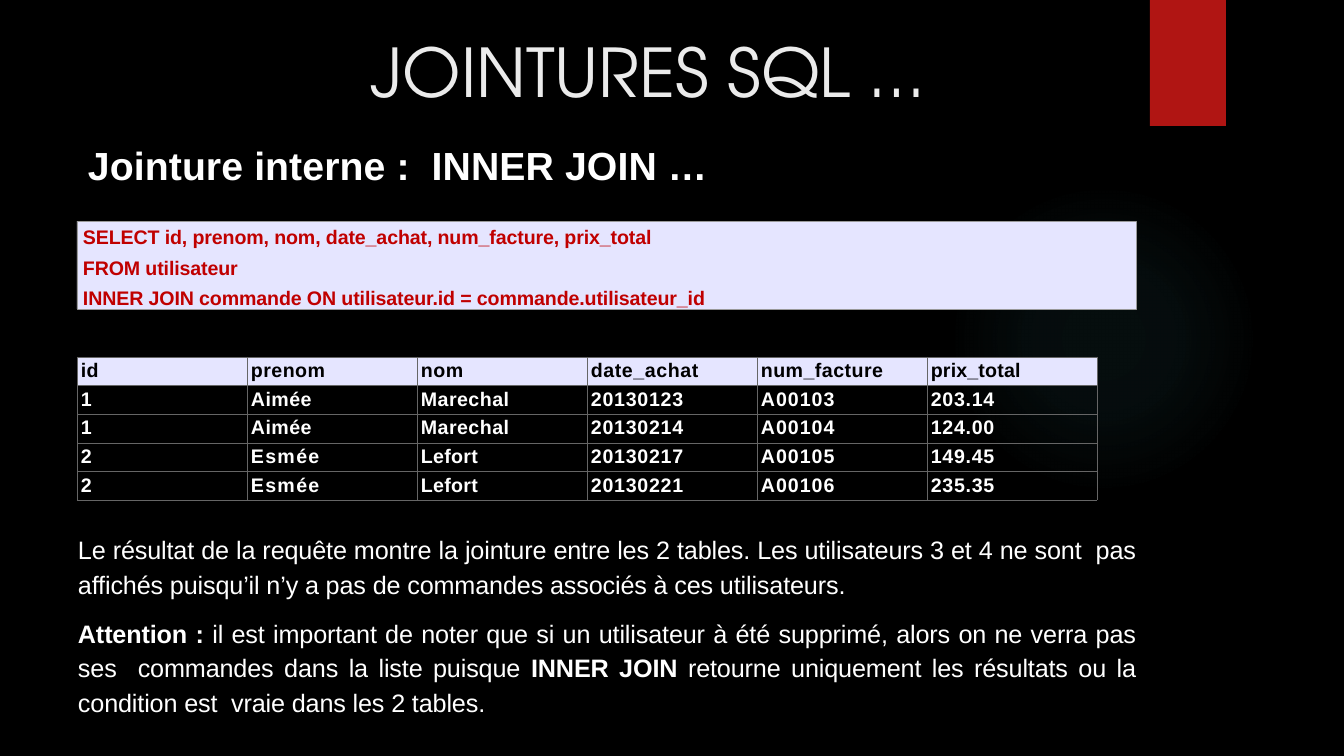
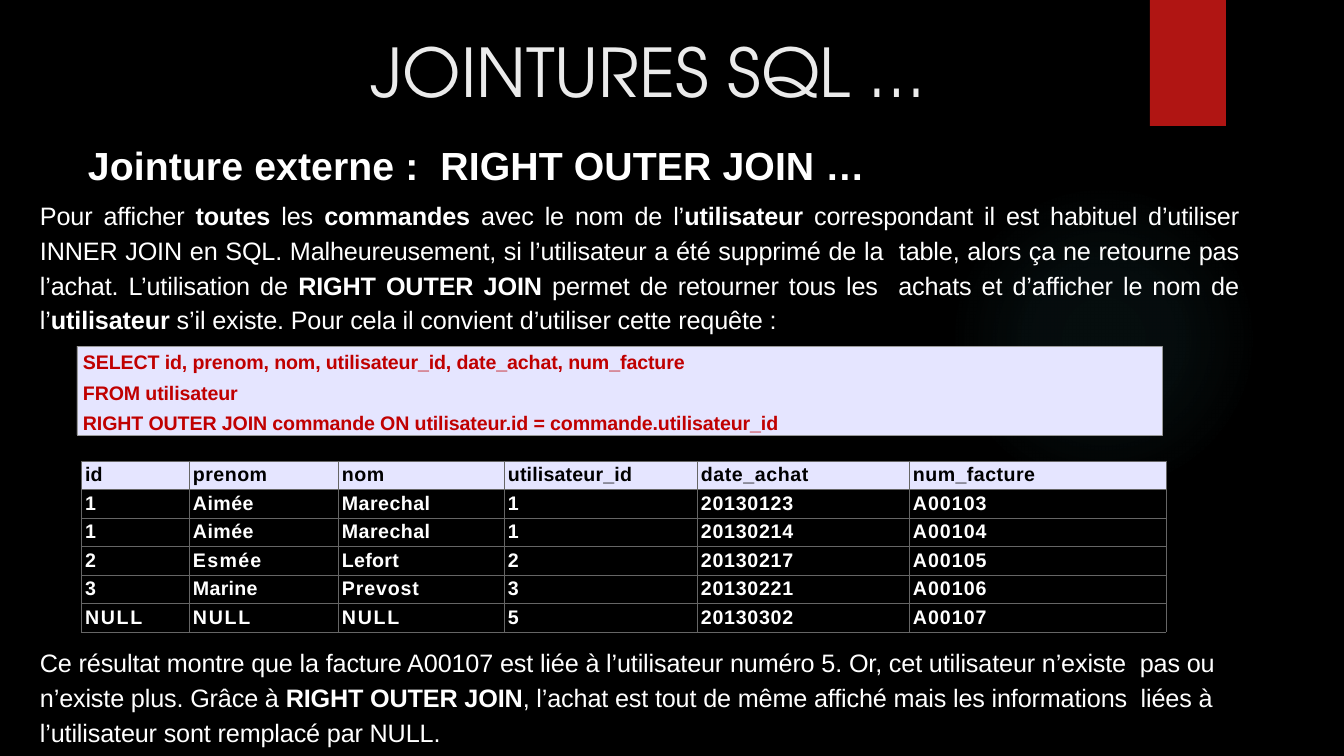
"""Build two slides that explain SQL inner and right outer joins."""
from pptx import Presentation
from pptx.dml.color import RGBColor
from pptx.enum.shapes import MSO_SHAPE
from pptx.enum.text import MSO_ANCHOR, MSO_AUTO_SIZE, PP_ALIGN
from pptx.oxml import parse_xml
from pptx.oxml.ns import nsdecls, qn
from pptx.util import Pt

PX = 12192000 / 1344
BLACK = RGBColor(0x00, 0x00, 0x00)
WHITE = RGBColor(0xFF, 0xFF, 0xFF)
TITLE_GREY = RGBColor(0xEB, 0xEB, 0xEB)
BAND_RED = RGBColor(0xB0, 0x15, 0x13)
CODE_RED = RGBColor(0xC0, 0x00, 0x00)
LAVENDER = RGBColor(0xE5, 0xE5, 0xFF)
CODE_BORDER = RGBColor(0x99, 0x99, 0x99)
TABLE_BORDER = RGBColor(0x66, 0x66, 0x66)
GLOW = RGBColor(0x50, 0xB9, 0xC1)
GLOW_STOPS = [(0, 7), (36, 6), (69, 0)]
TITLE_FONT = "TeX Gyre Adventor"
BODY_FONT = "Arial"
TITLE = "JOINTURES SQL …"

LETTER_SPACING = {
    "id": 0.1, "prenom": 0.3, "nom": 0.3, "date_achat": 0.4, "num_facture": 0.3,
    "prix_total": 0.1, "utilisateur_id": 0.1, "Aimée": 0.3, "Marechal": 0.3,
    "Esmée": 0.9, "Lefort": 0.2, "Marine": 0.2, "Prevost": 0.6, "NULL": 1.2,
}

SLIDES = [
    {
        "heading": "Jointure interne :  INNER JOIN …",
        "code_box": (77, 221, 1059, 88),
        "code": [
            "SELECT id, prenom, nom, date_achat, num_facture, prix_total",
            "FROM utilisateur",
            "INNER JOIN commande ON utilisateur.id = commande.utilisateur_id",
        ],
        "table_box": (77, 357, 1020, 143),
        "columns": [170] * 6,
        "rows": [
            ("id", "prenom", "nom", "date_achat", "num_facture", "prix_total"),
            ("1", "Aimée", "Marechal", "20130123", "A00103", "203.14"),
            ("1", "Aimée", "Marechal", "20130214", "A00104", "124.00"),
            ("2", "Esmée", "Lefort", "20130217", "A00105", "149.45"),
            ("2", "Esmée", "Lefort", "20130221", "A00106", "235.35"),
        ],
        "bodies": [
            ((77, 529, 1059, 192), PP_ALIGN.JUSTIFY, [
                "Le résultat de la requête montre la jointure entre les 2 tables. Les "
                "utilisateurs 3 et 4 ne sont  pas affichés puisqu’il n’y a pas de "
                "commandes associés à ces utilisateurs.",
                "**Attention :** il est important de noter que si un utilisateur à été "
                "supprimé, alors on ne verra pas ses  commandes dans la liste puisque "
                "**INNER JOIN** retourne uniquement les résultats ou la condition est  "
                "vraie dans les 2 tables.",
            ]),
        ],
    },
    {
        "heading": "Jointure externe :  RIGHT OUTER JOIN …",
        "code_box": (77, 346, 1085, 89),
        "code": [
            "SELECT id, prenom, nom, utilisateur_id, date_achat, num_facture",
            "FROM utilisateur",
            "RIGHT OUTER JOIN commande ON utilisateur.id = commande.utilisateur_id",
        ],
        "table_box": (81, 461, 1085, 171),
        "columns": [108, 149, 166, 193, 212, 257],
        "rows": [
            ("id", "prenom", "nom", "utilisateur_id", "date_achat", "num_facture"),
            ("1", "Aimée", "Marechal", "1", "20130123", "A00103"),
            ("1", "Aimée", "Marechal", "1", "20130214", "A00104"),
            ("2", "Esmée", "Lefort", "2", "20130217", "A00105"),
            ("3", "Marine", "Prevost", "3", "20130221", "A00106"),
            ("NULL", "NULL", "NULL", "5", "20130302", "A00107"),
        ],
        "bodies": [
            ((39, 195, 1200, 142), PP_ALIGN.JUSTIFY, [
                "Pour afficher **toutes** les **commandes** avec le nom de "
                "l’**utilisateur** correspondant il est habituel d’utiliser INNER JOIN "
                "en SQL. Malheureusement, si l’utilisateur a été supprimé de la  table, "
                "alors ça ne retourne pas l’achat. L’utilisation de **RIGHT OUTER JOIN** "
                "permet de retourner tous les  achats et d’afficher le nom de "
                "l’**utilisateur** s’il existe. Pour cela il convient d’utiliser cette "
                "requête :",
            ]),
            ((39, 642, 1200, 107), PP_ALIGN.LEFT, [
                "Ce résultat montre que la facture A00107 est liée à l’utilisateur "
                "numéro 5. Or, cet utilisateur n’existe  pas ou n’existe plus. Grâce à "
                "**RIGHT OUTER JOIN**, l’achat est tout de même affiché mais les "
                "informations  liées à l’utilisateur sont remplacé par NULL.",
            ]),
        ],
    },
]


def px(length):
    return round(length * PX)


def place(box):
    return [px(length) for length in box]


def write(frame, paragraphs, *, size, color, font=BODY_FONT, bold=False,
          align=PP_ALIGN.LEFT, indent=0, line_spacing=None, before=0, gap=0,
          spacing=0, insets=None):
    """Write paragraphs in one format, with bold between double asterisks."""
    if insets:
        frame.margin_left, frame.margin_top, frame.margin_right, frame.margin_bottom = place(insets)
    for index, text in enumerate(paragraphs):
        paragraph = frame.add_paragraph() if index else frame.paragraphs[0]
        paragraph.alignment = align
        paragraph.line_spacing = line_spacing
        paragraph.space_before = Pt(gap if index else before)
        properties = paragraph._p.get_or_add_pPr()
        properties.set("marL", str(px(indent)))
        properties.set("indent", "0")
        for part, words in enumerate(text.split("**")):
            if not words:
                continue
            run = paragraph.add_run()
            run.text = words
            run.font.name = font
            run.font.size = Pt(size)
            run.font.bold = bold or part % 2 == 1
            run.font.color.rgb = color
            run._r.get_or_add_rPr().set("spc", str(round(spacing * 100)))


def add_plain_shape(slide, kind, box):
    shape = slide.shapes.add_shape(kind, *place(box))
    shape.shadow.inherit = False
    shape.line.fill.background()
    return shape


def add_decor(slide):
    glow = add_plain_shape(slide, MSO_SHAPE.OVAL, (949, 184, 310, 310))
    glow.fill.background()
    stops = "".join(
        f'<a:gs pos="{position * 1000}"><a:srgbClr val="{GLOW}">'
        f'<a:alpha val="{alpha * 1000}"/></a:srgbClr></a:gs>'
        for position, alpha in GLOW_STOPS)
    gradient = parse_xml(
        f'<a:gradFill {nsdecls("a")}><a:gsLst>{stops}</a:gsLst><a:path path="circle">'
        '<a:fillToRect l="50000" t="50000" r="50000" b="50000"/></a:path></a:gradFill>')
    properties = glow._element.spPr
    properties.replace(properties.find(qn("a:noFill")), gradient)
    band = add_plain_shape(slide, MSO_SHAPE.RECTANGLE, (1150, 0, 76, 126))
    band.fill.solid()
    band.fill.fore_color.rgb = BAND_RED


def add_title(slide):
    title = slide.shapes.title
    title.left, title.top, title.width, title.height = place((148, 21, 999, 95))
    frame = title.text_frame
    frame.word_wrap = True
    frame.auto_size = MSO_AUTO_SIZE.NONE
    frame.vertical_anchor = MSO_ANCHOR.BOTTOM
    write(frame, [TITLE], size=48, color=TITLE_GREY, font=TITLE_FONT, align=PP_ALIGN.CENTER)


def add_text(slide, box, paragraphs, **text_format):
    frame = slide.shapes.add_textbox(*place(box)).text_frame
    frame.word_wrap = True
    frame.auto_size = MSO_AUTO_SIZE.SHAPE_TO_FIT_TEXT
    write(frame, paragraphs, **text_format)


def add_code(slide, box, lines):
    shape = add_plain_shape(slide, MSO_SHAPE.RECTANGLE, box)
    shape.fill.solid()
    shape.fill.fore_color.rgb = LAVENDER
    shape.line.color.rgb = CODE_BORDER
    shape.line.width = Pt(0.25)
    frame = shape.text_frame
    frame.word_wrap = True
    frame.auto_size = MSO_AUTO_SIZE.SHAPE_TO_FIT_TEXT
    frame.vertical_anchor = MSO_ANCHOR.TOP
    write(frame, lines, size=14, color=CODE_RED, bold=True, indent=6,
          before=2.7, gap=5.1, spacing=-0.1, insets=(0, 4, 0, 0))


def cell_spacing(text):
    if len(text) == 1:
        return 0
    return LETTER_SPACING.get(text, 0.7 if text.startswith("A") else 0.5)


def add_borders(cell):
    properties = cell._tc.get_or_add_tcPr()
    for side in ("lnL", "lnR", "lnT", "lnB"):
        properties.append(parse_xml(
            f'<a:{side} {nsdecls("a")} w="{Pt(0.25)}"><a:solidFill>'
            f'<a:srgbClr val="{TABLE_BORDER}"/></a:solidFill></a:{side}>'))


def add_result_table(slide, box, columns, rows):
    table = slide.shapes.add_table(len(rows), len(columns), *place(box)).table
    for column, width in zip(table.columns, columns):
        column.width = px(width)
    for row_index, values in enumerate(rows):
        table.rows[row_index].height = px(box[3] / len(rows))
        for column_index, text in enumerate(values):
            cell = table.cell(row_index, column_index)
            add_borders(cell)
            if row_index == 0:
                cell.fill.solid()
                cell.fill.fore_color.rgb = LAVENDER
            else:
                cell.fill.background()
            cell.margin_left, cell.margin_top, cell.margin_right, cell.margin_bottom = place((0, 3, 0, 0))
            write(cell.text_frame, [text], size=14, color=WHITE if row_index else BLACK,
                  bold=True, indent=4, before=2.1, spacing=cell_spacing(text))


def main():
    presentation = Presentation()
    presentation.slide_width, presentation.slide_height = px(1344), px(756)
    background = presentation.slide_master.background.fill
    background.solid()
    background.fore_color.rgb = BLACK
    for content in SLIDES:
        slide = presentation.slides.add_slide(presentation.slide_layouts[5])
        add_decor(slide)
        add_title(slide)
        add_text(slide, (77, 136, 1162, 57), [content["heading"]], size=28, color=WHITE,
                 bold=True, align=PP_ALIGN.JUSTIFY, indent=1, before=13.7, spacing=0.1)
        add_code(slide, content["code_box"], content["code"])
        add_result_table(slide, content["table_box"], content["columns"], content["rows"])
        for box, align, paragraphs in content["bodies"]:
            add_text(slide, box, paragraphs, size=18, color=WHITE, align=align, indent=1,
                     line_spacing=1.15, before=1, gap=9.9, spacing=-0.1, insets=(0, 1, 0, 0))
    presentation.save("out.pptx")


if __name__ == "__main__":
    main()
